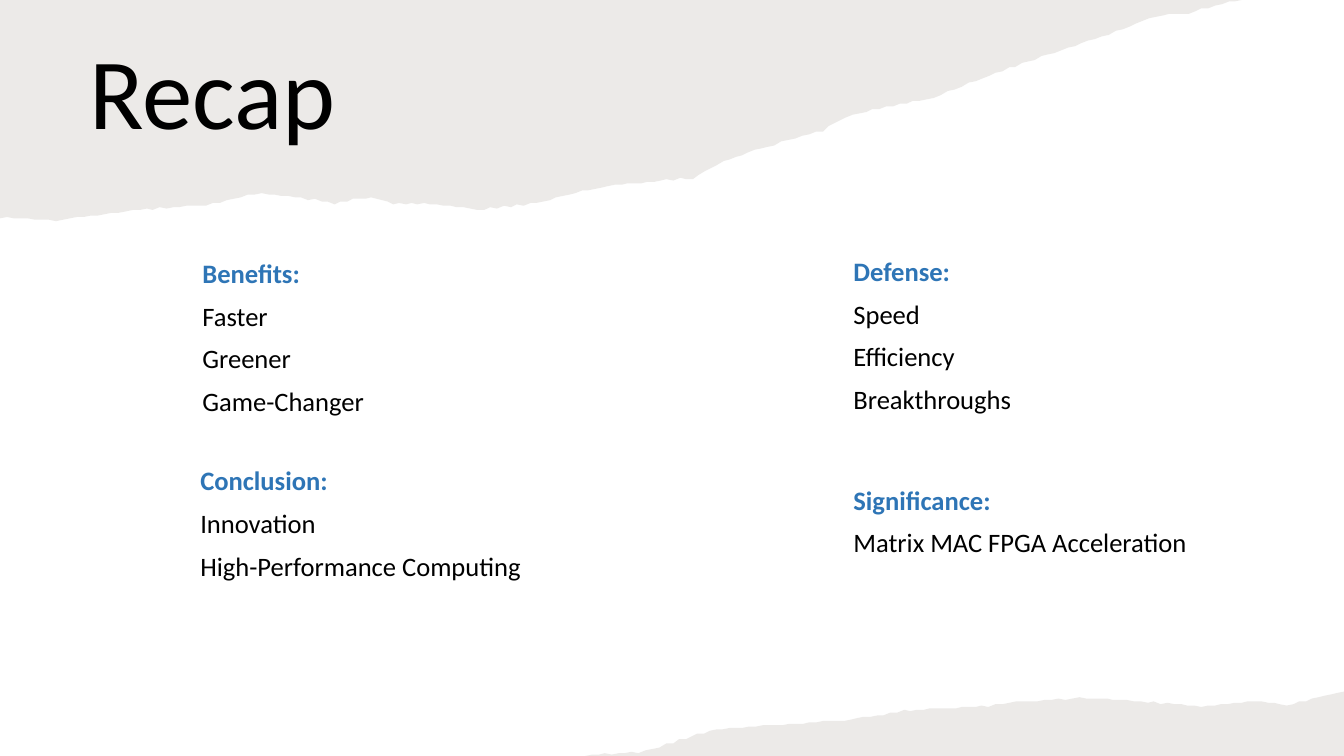
from collections import namedtuple
from math import ceil, sin

from lxml import etree
from pptx import Presentation
from pptx.dml.color import RGBColor
from pptx.enum.text import MSO_ANCHOR
from pptx.oxml.ns import qn
from pptx.util import Pt

TOP, MIDDLE = MSO_ANCHOR.TOP, MSO_ANCHOR.MIDDLE
WIDTH, HEIGHT = 960, 540

# Main bends of each torn edge; the small teeth between them come from torn_edge.
TOP_BENDS = [
    (887, 0), (849, 9.5), (826, 12), (792, 25), (753, 38), (702, 56), (667, 70),
    (604, 83.5), (588, 93.5), (548, 105), (521, 114), (495, 127.5), (439, 132.5),
    (402, 140.5), (374, 147), (341, 150), (307, 146), (281, 145.5), (265, 141),
    (239, 145.5), (187, 138), (147, 147), (100, 150.5), (40, 158), (0, 155.5),
]
BOTTOM_BENDS = [
    (418, 540), (456, 538), (481, 531), (507, 522), (554, 518), (603, 515),
    (655, 507), (706, 505), (721, 502), (781, 499), (858, 505), (901, 501),
    (919, 504), (960, 494.5),
]

HeadedList = namedtuple("HeadedList", "x y w heading items")
LEFT, RIGHT = 137, 602.5
LISTS = [
    HeadedList(RIGHT, 344.5, 292, "Significance:", ["Matrix MAC FPGA Acceleration"]),
    HeadedList(LEFT - 1, 330.5, 252, "Conclusion:",
               ["Innovation", "High-Performance Computing"]),
    HeadedList(RIGHT, 181, 254, "Defense:", ["Speed", "Efficiency", "Breakthroughs"]),
    HeadedList(LEFT + 0.5, 182.5, 217, "Benefits:",
               ["Faster", "Greener", "Game-Changer"]),
]


def rgb(color):
    return RGBColor.from_string(color)


def torn_edge(bends, step=5, depth=1.2):
    """Join the bends by short steps, each lifted a little by an uneven wave."""
    edge = []
    for (x0, y0), (x1, y1) in zip(bends, bends[1:]):
        count = ceil(abs(x1 - x0) / step)
        edge.append((x0, y0))
        for i in range(1, count):
            x = x0 + (x1 - x0) * i / count
            y = y0 + (y1 - y0) * i / count
            tooth = depth * abs(sin(x) * sin(2.3 * x))
            edge.append((round(x, 2), round(y - tooth, 2)))
    return edge + [bends[-1]]


def add_text(p, text, size=19, color="000000", bold=False, before=10, font="Calibri"):
    p.line_spacing = 0.9
    p.space_before = Pt(before)
    r = p.add_run()
    r.text = text
    r.font.name = font
    r.font.size = Pt(size)
    r.font.bold = bold
    r.font.color.rgb = rgb(color)


class Deck:
    paper = "82766A"
    paper_opacity = 15
    accent = "2E75B6"

    def __init__(self):
        self.prs = Presentation()
        self.prs.slide_width, self.prs.slide_height = Pt(WIDTH), Pt(HEIGHT)
        self.s = self.prs.slides.add_slide(self.prs.slide_layouts[6])

    def torn_paper(self, bends, corner):
        """Fill the area between a torn edge and a corner of the slide."""
        builder = self.s.shapes.build_freeform(*corner, scale=Pt(1))
        builder.add_line_segments(torn_edge(bends), close=True)
        sp = builder.convert_to_shape()
        sp.shadow.inherit = False
        sp.line.fill.background()
        sp.fill.solid()
        sp.fill.fore_color.rgb = rgb(self.paper)
        clr = sp._element.spPr.find(qn("a:solidFill")).find(qn("a:srgbClr"))
        etree.SubElement(clr, qn("a:alpha"), val=str(self.paper_opacity * 1000))

    def text_frame(self, x, y, w, h, anchor=TOP):
        tf = self.s.shapes.add_textbox(Pt(x), Pt(y), Pt(w), Pt(h)).text_frame
        tf.word_wrap = True
        tf.vertical_anchor = anchor
        return tf

    def title(self, text):
        tf = self.text_frame(57, 40, 603, 58.5, MIDDLE)
        add_text(tf.paragraphs[0], text, size=72, before=0)

    def headed_list(self, block):
        tf = self.text_frame(block.x, block.y, block.w, 124.5)
        add_text(tf.paragraphs[0], block.heading, color=self.accent, bold=True)
        for item in block.items:
            add_text(tf.add_paragraph(), item)


def main():
    deck = Deck()
    deck.torn_paper(TOP_BENDS, corner=(0, 0))
    deck.title("Recap")
    deck.torn_paper(BOTTOM_BENDS, corner=(WIDTH, HEIGHT))
    for block in LISTS:
        deck.headed_list(block)
    deck.prs.save("out.pptx")


if __name__ == "__main__":
    main()
